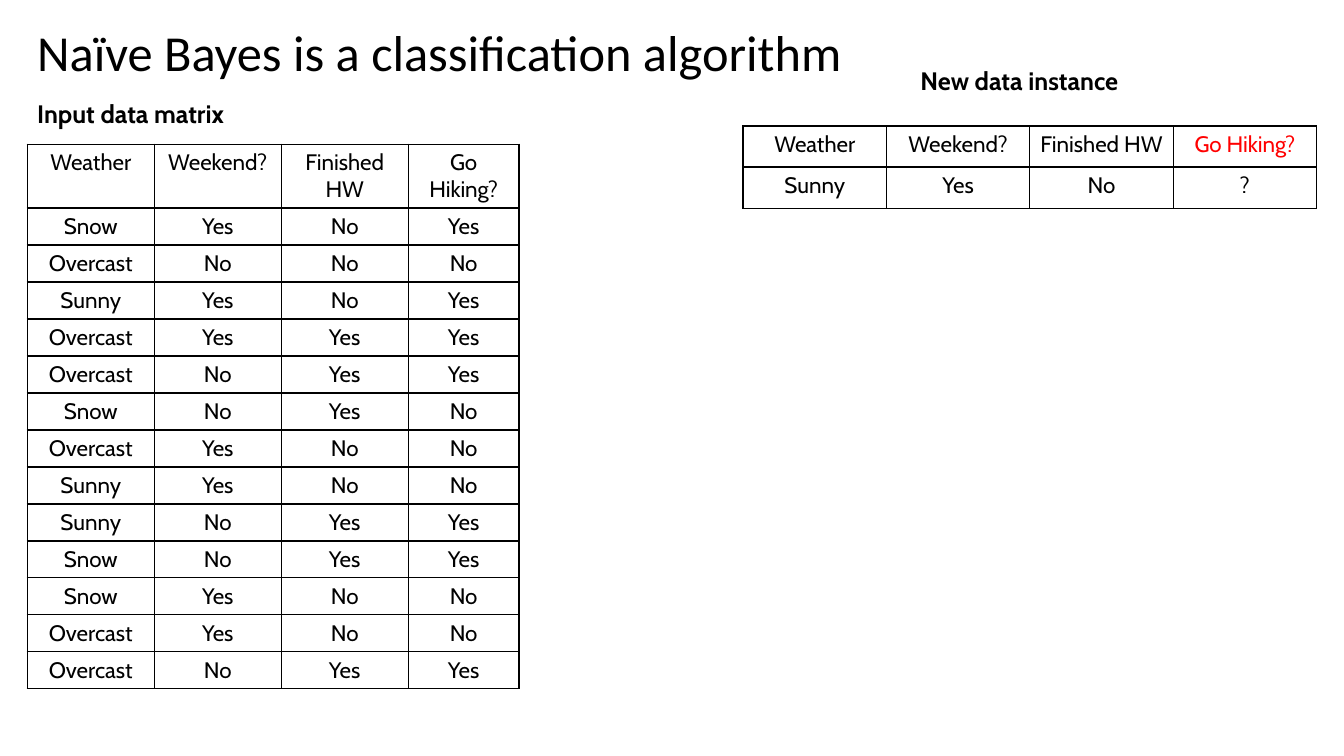
from dataclasses import dataclass

from lxml import etree
from pptx import Presentation, util as u
from pptx.dml.color import RGBColor
from pptx.enum import text
from pptx.oxml import ns

WIDTH, HEIGHT = u.Inches(13.33), u.Inches(7.5)
BLACK, RED = "000000", "FF0000"
HEADER = ["Weather", "Weekend?", "Finished HW", "Go Hiking?"]
DAYS = """Snow Yes No Yes
Overcast No No No
Sunny Yes No Yes
Overcast Yes Yes Yes
Overcast No Yes Yes
Snow No Yes No
Overcast Yes No No
Sunny Yes No No
Sunny No Yes Yes
Snow No Yes Yes
Snow Yes No No
Overcast Yes No No
Overcast No Yes Yes"""


@dataclass
class Label:
    """A line of text, placed in percent of the slide's size."""
    words: str
    left: float
    top: float
    width: float
    height: float
    size: int = 18
    font: str = "Cabin"
    bold: bool = True


@dataclass
class Grid:
    """A table, placed in percent of the slide's size."""
    left: float
    top: float
    cols: list[float]
    heights: list[float]
    rows: list[list[str]]
    answer_color: str = BLACK


LABELS = [
    Label("Naïve Bayes is a classification algorithm", 2.03, 2.13, 63, 9.47, 36, "Calibri", False),
    Label("Input data matrix", 2.03, 12.4, 17.85, 5.33),
    Label("New data instance", 67.74, 8, 17.85, 5.33),
]
DAY_ROWS = [line.split() for line in DAYS.splitlines()]
GRIDS = [
    Grid(2.03, 19.07, [9.45] * 3 + [8.25], [8.27] + [4.8] * len(DAY_ROWS), [HEADER] + DAY_ROWS),
    Grid(55.29, 16.67, [10.67] * 4, [5.43] * 2, [HEADER, ["Sunny", "Yes", "No", "?"]], RED),
]


def rgb(value: str) -> RGBColor:
    """Turn a hex string into a colour."""
    return RGBColor.from_string(value)


def px(share: float) -> int:
    """Turn a percentage of the slide's width into a length."""
    return round(WIDTH * share / 100)


def py(share: float) -> int:
    """Turn a percentage of the slide's height into a length."""
    return round(HEIGHT * share / 100)


def style(p, size: int, font: str, bold: bool, color: str) -> None:
    """Format every run of a paragraph."""
    for r in p.runs:
        r.font.size, r.font.name, r.font.bold = u.Pt(size), font, bold
        r.font.color.rgb = rgb(color)


def add_label(s, label: Label) -> None:
    """Draw a text label."""
    sp = s.shapes.add_textbox(px(label.left), py(label.top), px(label.width), py(label.height))
    tf = sp.text_frame
    tf.text = label.words
    tf.word_wrap = True
    tf.auto_size = text.MSO_AUTO_SIZE.SHAPE_TO_FIT_TEXT
    style(tf.paragraphs[0], label.size, label.font, label.bold, BLACK)


def add_borders(cell) -> None:
    """Give a cell thin black lines on all four sides."""
    tc_pr = cell._tc.get_or_add_tcPr()
    for side in ("a:lnL", "a:lnR", "a:lnT", "a:lnB"):
        ln = etree.SubElement(tc_pr, ns.qn(side), w=str(u.Pt(1)))
        fill = etree.SubElement(ln, ns.qn("a:solidFill"))
        etree.SubElement(fill, ns.qn("a:srgbClr"), val=BLACK)


def add_grid(s, grid: Grid) -> None:
    """Draw a plain ruled table."""
    frame = s.shapes.add_table(len(grid.rows), len(grid.cols), px(grid.left), py(grid.top),
                               px(sum(grid.cols)), py(sum(grid.heights)))
    table = frame.table
    table.first_row = table.horz_banding = False
    for col, width in zip(table.columns, grid.cols):
        col.width = px(width)
    for i, (row, height) in enumerate(zip(table.rows, grid.heights)):
        row.height = py(height)
        for j, cell in enumerate(row.cells):
            add_borders(cell)
            cell.fill.background()
            p = cell.text_frame.paragraphs[0]
            p.text = grid.rows[i][j]
            p.alignment = text.PP_ALIGN.CENTER
            is_answer = i == 0 and j == len(grid.cols) - 1
            style(p, 16, "Cabin", False, grid.answer_color if is_answer else BLACK)


def main() -> None:
    """Build the slide and save it."""
    prs = Presentation()
    prs.slide_width, prs.slide_height = WIDTH, HEIGHT
    s = prs.slides.add_slide(prs.slide_layouts[6])
    for label in LABELS:
        add_label(s, label)
    for grid in GRIDS:
        add_grid(s, grid)
    prs.save("out.pptx")


if __name__ == "__main__":
    main()
